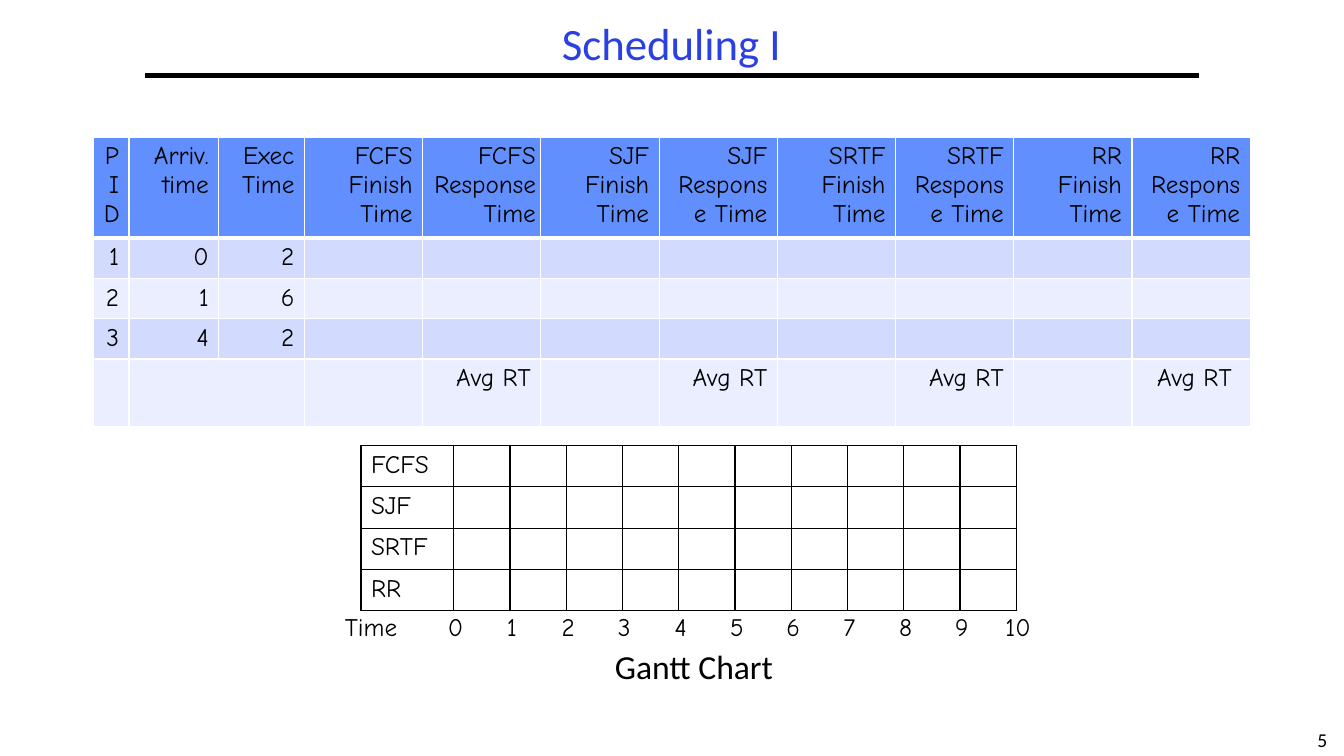
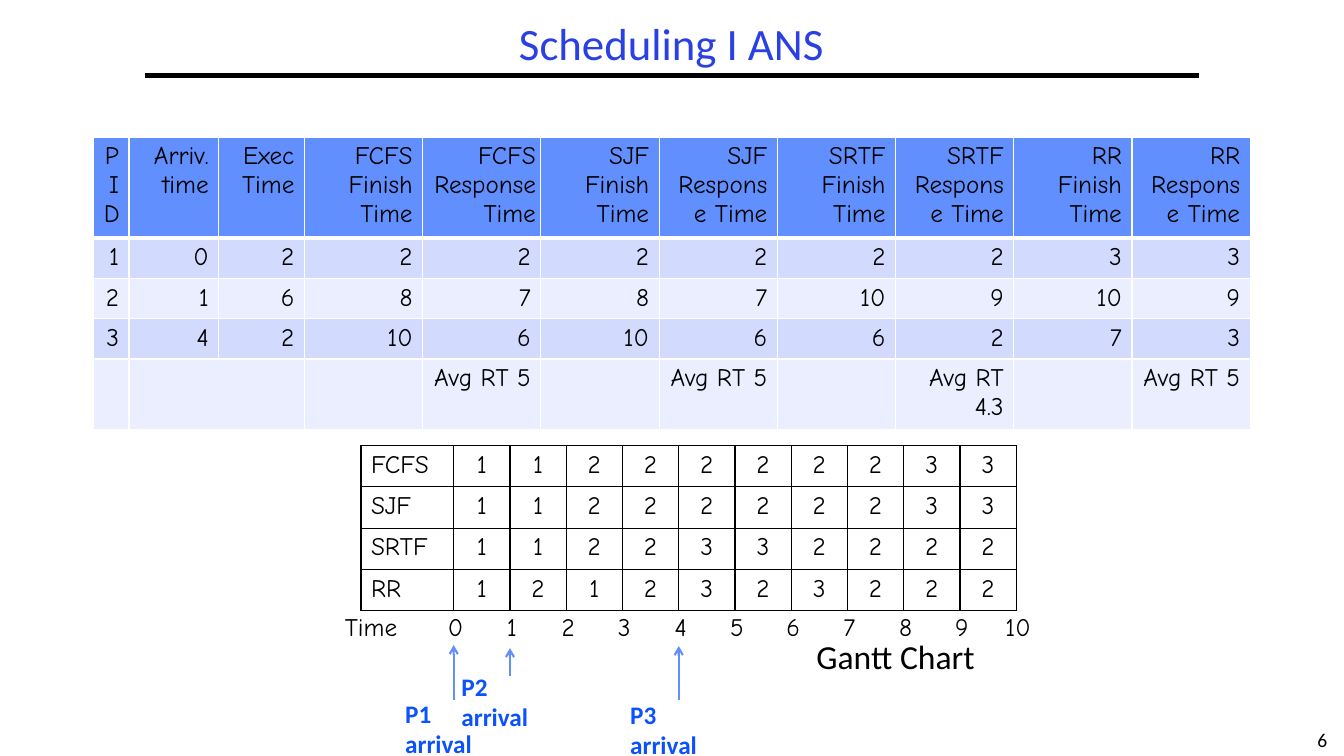
from dataclasses import dataclass

from lxml.etree import SubElement
from pptx import Presentation
from pptx.dml.color import RGBColor
from pptx.enum.shapes import MSO_CONNECTOR
from pptx.enum.text import MSO_ANCHOR, PP_ALIGN
from pptx.oxml.ns import qn
from pptx.util import Inches, Pt


@dataclass(frozen=True)
class Theme:
    title: str = "2A40E2"
    ink: str = "000000"
    white: str = "FFFFFF"
    header: str = "618FFD"
    bands: tuple = ("D2DBFE", "EAEEFF")
    arrow: str = "618FFD"
    arrival: str = "0B52FC"
    sans: str = "Calibri"
    hand: str = "Comic Neue"
    title_size: int = 32
    caption_size: int = 24
    body_size: int = 18
    number_size: int = 14


THEME = Theme()
NO_STYLE = "{2D5ABB26-0587-4C30-8999-92F81FD0307C}"

# Content
HEADERS = ["PID", "Arriv. time", "Exec Time",
           "FCFS\nFinish Time", "FCFS\nResponse Time",
           "SJF Finish Time", "SJF Response Time",
           "SRTF Finish Time", "SRTF Response Time",
           "RR\nFinish Time", "RR\nResponse Time"]
PROCESSES = [(1, 0, 2), (2, 1, 6), (3, 4, 2)]
POLICIES = ["FCFS", "SJF", "SRTF", "RR"]
SLIDES = [
    {
        "title": "Scheduling I", "number": 5, "caption_at": (6, 6.44),
        "results": [[""] * 8] * 3,
        "averages": ["Avg RT", "Avg RT", "Avg RT", "Avg RT "],
        "schedules": [" " * 0] * 4,
        "arrivals": [],
    },
    {
        "title": "Scheduling I ANS", "number": 6, "caption_at": (8, 6.34),
        "results": [(2, 2, 2, 2, 2, 2, 3, 3),
                    (8, 7, 8, 7, 10, 9, 10, 9),
                    (10, 6, 10, 6, 6, 2, 7, 3)],
        "averages": ["Avg RT 5", "Avg RT 5", "Avg RT 4.3", "Avg RT 5"],
        "schedules": ["1122222233", "1122222233", "1122332222", "1212323222"],
        # name, time, arrow bottom, arrow top, label top
        "arrivals": [("P1 arrival", 0, 6.94, 6.4, 6.88),
                     ("P2 arrival", 1, 6.71, 6.43, 6.61),
                     ("P3 arrival", 4, 6.94, 6.41, 6.89)],
    },
]

# Layout, in inches
RESULT_WIDTH = 11.47
PROCESS_COLUMNS = [0.35, 0.89, 0.85]
RESULT_COLUMNS = PROCESS_COLUMNS + [(RESULT_WIDTH - sum(PROCESS_COLUMNS)) / 8] * 8
RESULT_ROWS = [0.96, 0.39, 0.39, 0.39, 0.67]
GANTT_LEFT, GANTT_TOP, GANTT_ROW = 3.58, 4.42, 0.41
SLOT_COUNT, POLICY_WIDTH = 10, 0.92
SLOT_WIDTH = (6.5 - POLICY_WIDTH) / SLOT_COUNT
AXIS_LEFT, AXIS_TOP = 3.32, 6.04
LABEL_OFFSET = 0.58


def style_paragraph(paragraph, font, size, color, align, bold=False):
    paragraph.alignment = align
    paragraph.font.name = font
    paragraph.font.size = Pt(size)
    paragraph.font.bold = bold
    paragraph.font.color.rgb = RGBColor.from_string(color)


def add_text(slide, text, box, size, color=THEME.ink, align=PP_ALIGN.LEFT,
             bold=False, spacing=1.0, anchor=MSO_ANCHOR.TOP, wrap=True):
    frame = slide.shapes.add_textbox(*map(Inches, box)).text_frame
    frame.word_wrap = wrap
    frame.vertical_anchor = anchor
    paragraph = frame.paragraphs[0]
    paragraph.text = text
    paragraph.line_spacing = spacing
    style_paragraph(paragraph, THEME.sans, size, color, align, bold)


def add_line(slide, start, end, color, width, arrow=False):
    line = slide.shapes.add_connector(MSO_CONNECTOR.STRAIGHT, *map(Inches, start + end))
    line.line.color.rgb = RGBColor.from_string(color)
    line.line.width = Pt(width)
    if arrow:
        SubElement(line.line._get_or_add_ln(), qn("a:tailEnd"), type="arrow")
    SubElement(line._element.spPr, qn("a:effectLst"))


def add_plain_table(slide, left, top, columns, rows):
    frame = slide.shapes.add_table(len(rows), len(columns), Inches(left), Inches(top),
                                   Inches(sum(columns)), Inches(sum(rows)))
    table = frame.table
    table.first_row = table.horz_banding = False
    table._tbl.tblPr.find(qn("a:tableStyleId")).text = NO_STYLE
    for column, width in zip(table.columns, columns):
        column.width = Inches(width)
    for row, height in zip(table.rows, rows):
        row.height = Inches(height)
    return table


def fill_cell(cell, value, align, fill=None, border=None, bottom=1):
    cell.text = str(value)
    for paragraph in cell.text_frame.paragraphs:
        style_paragraph(paragraph, THEME.hand, THEME.body_size, THEME.ink, align)
    properties = cell._tc.get_or_add_tcPr()
    if border:
        for side, width in (("L", 1), ("R", 1), ("T", 1), ("B", bottom)):
            edge = SubElement(properties, qn(f"a:ln{side}"), w=str(Pt(width)))
            solid = SubElement(edge, qn("a:solidFill"))
            SubElement(solid, qn("a:srgbClr"), val=border)
    if fill:
        cell.fill.solid()
        cell.fill.fore_color.rgb = RGBColor.from_string(fill)
    else:
        cell.fill.background()


def add_frame(slide, title, number):
    add_text(slide, str(number), (12.9, 7.17, 0.43, 0.33), THEME.number_size,
             align=PP_ALIGN.CENTER, wrap=False)
    add_line(slide, (1.44, 0.75), (11.89, 0.75), THEME.ink, 3)
    add_text(slide, title, (1.44, 0.17, 10.44, 0.58), THEME.title_size, THEME.title,
             PP_ALIGN.CENTER, spacing=0.9, anchor=MSO_ANCHOR.MIDDLE)


def add_results(slide, results, averages):
    average_row = [""] * 3
    for average in averages:
        average_row += ["", average]
    rows = [HEADERS]
    rows += [[*process, *times] for process, times in zip(PROCESSES, results)]
    rows.append(average_row)
    table = add_plain_table(slide, 0.93, 1.36, RESULT_COLUMNS, RESULT_ROWS)
    for r, values in enumerate(rows):
        fill = THEME.bands[(r - 1) % 2] if r else THEME.header
        for c, value in enumerate(values):
            fill_cell(table.cell(r, c), value, PP_ALIGN.RIGHT, fill, THEME.white,
                      bottom=1 if r else 3)
    # Narrow margins keep "Response" on one line
    wide_header = table.cell(0, 4)
    wide_header.margin_left = wide_header.margin_right = Inches(0.05)
    last = len(rows) - 1
    table.cell(last, 1).merge(table.cell(last, 2))


def add_gantt(slide, schedules):
    columns = [POLICY_WIDTH] + [SLOT_WIDTH] * SLOT_COUNT
    table = add_plain_table(slide, GANTT_LEFT, GANTT_TOP, columns,
                            [GANTT_ROW] * len(POLICIES))
    for r, (policy, schedule) in enumerate(zip(POLICIES, schedules)):
        slots = list(schedule) or [""] * SLOT_COUNT
        for c, value in enumerate([policy, *slots]):
            align = PP_ALIGN.CENTER if c else PP_ALIGN.LEFT
            fill_cell(table.cell(r, c), value, align, border=THEME.ink)
    # Time axis
    axis = add_plain_table(slide, AXIS_LEFT, AXIS_TOP, columns + [SLOT_WIDTH], [GANTT_ROW])
    for c, value in enumerate(["Time", *range(SLOT_COUNT + 1)]):
        fill_cell(axis.cell(0, c), value, PP_ALIGN.CENTER if c else PP_ALIGN.LEFT)


def add_arrivals(slide, arrivals):
    for name, time, bottom, top, label_top in arrivals:
        x = GANTT_LEFT + POLICY_WIDTH + time * SLOT_WIDTH
        add_line(slide, (x, bottom), (x, top), THEME.arrow, 1.5, arrow=True)
        add_text(slide, name, (x - LABEL_OFFSET, label_top, 1.11, 0.4),
                 THEME.body_size, THEME.arrival, bold=True)


def main():
    presentation = Presentation()
    presentation.slide_width = Inches(13.33)
    presentation.slide_height = Inches(7.5)
    for content in SLIDES:
        slide = presentation.slides.add_slide(presentation.slide_layouts[6])
        add_frame(slide, content["title"], content["number"])
        add_results(slide, content["results"], content["averages"])
        add_gantt(slide, content["schedules"])
        add_text(slide, "Gantt Chart", (*content["caption_at"], 1.83, 0.43),
                 THEME.caption_size, spacing=0.8)
        add_arrivals(slide, content["arrivals"])
    presentation.save("out.pptx")


if __name__ == "__main__":
    main()
